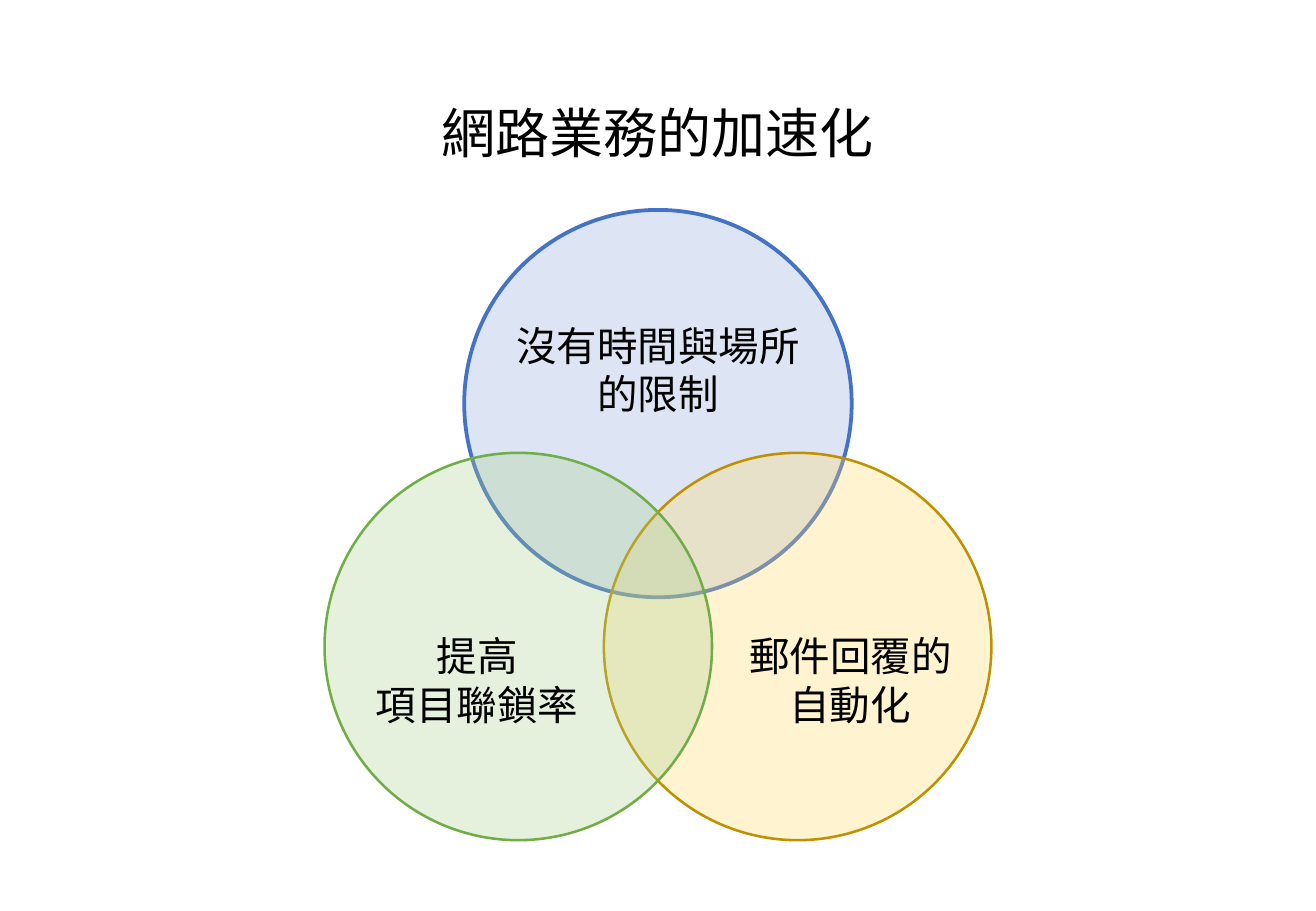
from lxml.etree import SubElement
from pptx import Presentation
from pptx.dml.color import RGBColor
from pptx.enum.shapes import MSO_SHAPE
from pptx.enum.text import MSO_AUTO_SIZE, PP_ALIGN
from pptx.oxml.ns import qn
from pptx.util import Cm, Pt

FONT = "Noto Sans CJK SC"
BLACK = RGBColor(0x00, 0x00, 0x00)
SKY = RGBColor(0x8F, 0xAA, 0xDC)
BLUE = RGBColor(0x44, 0x72, 0xC4)
LEMON = RGBColor(0xFF, 0xD9, 0x66)
GOLD = RGBColor(0xBF, 0x90, 0x00)
LIME = RGBColor(0xA9, 0xD1, 0x8E)
GREEN = RGBColor(0x70, 0xAD, 0x47)

WIDTH, HEIGHT = 27.51, 19.05
SIZE = 8.1
STEP_X, STEP_Y = 2.92, 5.08
OPACITY = 30

CIRCLES = [
    (0, 0, SKY, BLUE, 2.25),
    (1, 1, LEMON, GOLD, 1.5),
    (-1, 1, LIME, GREEN, 1.5),
]
LABELS = [
    (0, 2.19, 6.5, "沒有時間與場所\n的限制"),
    (4.02, 8.69, 4.78, "郵件回覆的\n自動化"),
    (-3.78, 8.69, 4.78, "提高\n項目聯鎖率"),
]


def add_text(slide, left, top, width, height, text, size, wrap):
    """Place centred text in the given box."""
    box = slide.shapes.add_textbox(Cm(left), Cm(top), Cm(width), Cm(height))
    frame = box.text_frame
    frame.text = text
    frame.word_wrap = wrap
    frame.auto_size = MSO_AUTO_SIZE.SHAPE_TO_FIT_TEXT
    for para in frame.paragraphs:
        para.alignment = PP_ALIGN.CENTER
        for run in para.runs:
            run.font.size = Pt(size)
            run.font.name = FONT
            run.font.color.rgb = BLACK
            SubElement(run.font._element, qn("a:ea"), typeface=FONT)


def add_circle(slide, left, top, fill, edge, weight):
    """Draw one see-through circle with its outline."""
    oval = slide.shapes.add_shape(
        MSO_SHAPE.OVAL, Cm(left), Cm(top), Cm(SIZE), Cm(SIZE))
    oval.shadow.inherit = False
    oval.fill.solid()
    oval.fill.fore_color.rgb = fill
    tint = oval.fill._xPr.find(qn("a:solidFill")).find(qn("a:srgbClr"))
    SubElement(tint, qn("a:alpha"), val=str(OPACITY * 1000))
    oval.line.color.rgb = edge
    oval.line.width = Pt(weight)


def add_venn(slide, middle, top):
    """Draw the three circles and their labels around a middle line."""
    for col, row, fill, edge, weight in CIRCLES:
        add_circle(slide, middle + col * STEP_X - SIZE / 2,
                   top + row * STEP_Y, fill, edge, weight)
    for shift, drop, width, text in LABELS:
        add_text(slide, middle + shift - width / 2, top + drop,
                 width, 2.31, text, 24, False)


def main():
    """Build the slide and save it."""
    deck = Presentation()
    deck.slide_width, deck.slide_height = Cm(WIDTH), Cm(HEIGHT)
    slide = deck.slides.add_slide(deck.slide_layouts[6])
    middle = WIDTH / 2
    add_venn(slide, middle, 4.39)
    add_text(slide, middle - 5.43, 1.96, 10.86, 1.63,
             "網路業務的加速化", 32, True)
    deck.save("out.pptx")


if __name__ == "__main__":
    main()
